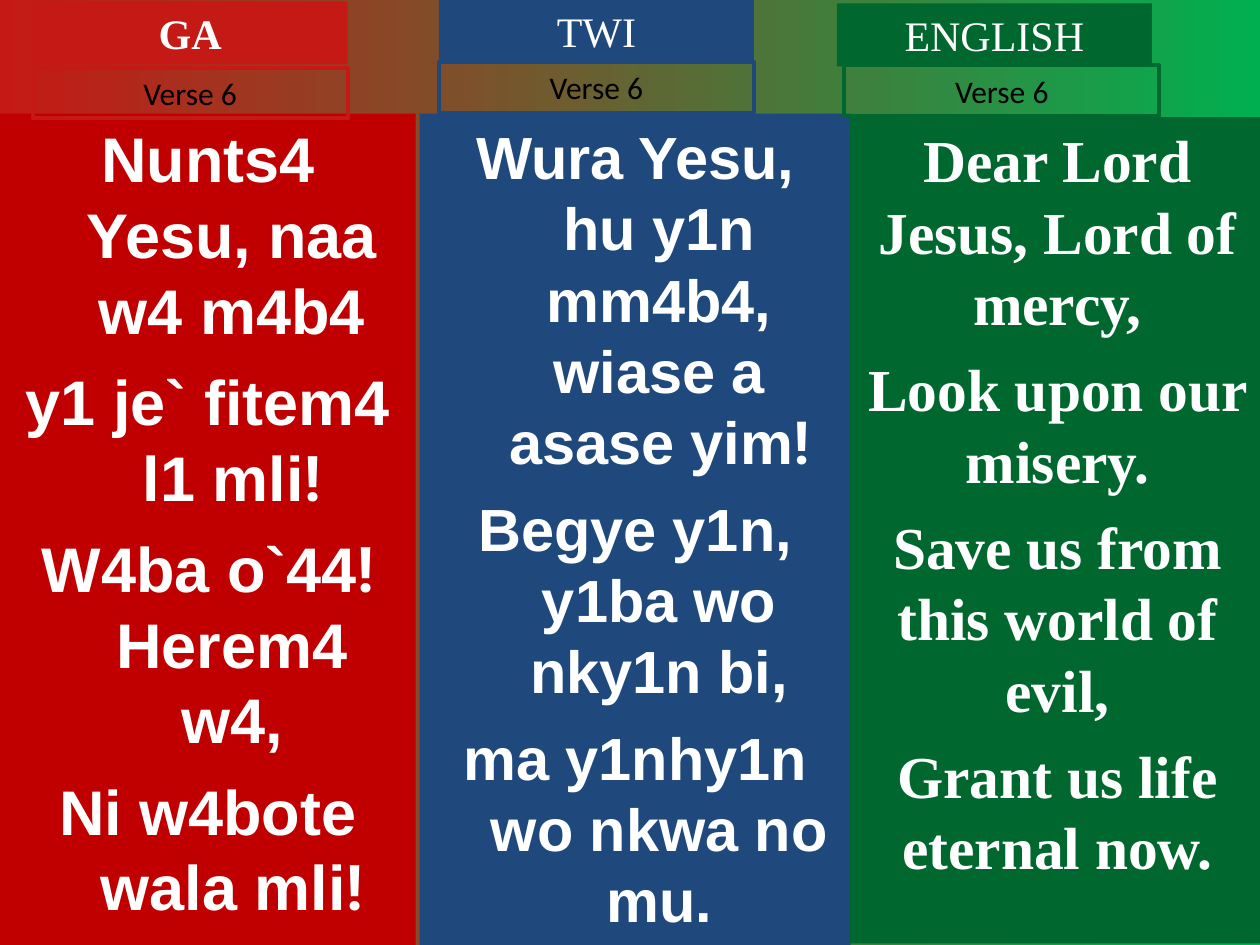
from itertools import groupby

from lxml import etree
from pptx import Presentation
from pptx.dml.color import RGBColor
from pptx.enum.text import MSO_ANCHOR, MSO_AUTO_SIZE, PP_ALIGN
from pptx.oxml.ns import qn
from pptx.util import Cm, Pt

CENTER = PP_ALIGN.CENTER
TOP = MSO_ANCHOR.TOP
NO_FIT = MSO_AUTO_SIZE.NONE
TWO_CONTENT = 3
HANGING = Cm(0.97)
WHITE = "FFFFFF"
HEADING_SIZE = (6.35, 1.27)
VERSE_SIZE = (6.35, 1.02)

COLUMNS = [
    {
        "language": "GA", "heading_color": "C51915", "heading_bold": True,
        "heading_at": (0.66, 0.03), "verse_at": (0.66, 1.37),
        "area": (0, 2.29, 8.38, 16.76), "color": "C00000",
        "font": "Arial", "size": 36, "indent": HANGING,
        "lines": ["Nunts4 Yesu, naa w4 m4b4", "y1 je` fitem4 l1 mli!",
                  "W4ba o`44! Herem4 w4,", "Ni w4bote wala mli!"],
    },
    {
        "language": "TWI", "heading_color": "1F497D", "heading_bold": False,
        "heading_at": (8.85, -0.01), "verse_at": (8.85, 1.25),
        "area": (8.46, 2.29, 8.69, 16.76), "color": "1F497D",
        "font": "Arial", "size": 34, "indent": HANGING,
        "lines": ["Wura Yesu, hu y1n mm4b4, wiase a asase yim!",
                  "Begye y1n, y1ba wo nky1n bi,",
                  "ma y1nhy1n wo nkwa no mu."],
    },
    {
        "language": "ENGLISH", "heading_color": "00682F", "heading_bold": False,
        "heading_at": (16.87, 0.07), "verse_at": (17.02, 1.32),
        "area": (17.14, 2.36, 8.36, 16.66), "color": "00682F",
        "font": "Times New Roman", "size": 34, "indent": 0,
        "lines": ["Dear Lord Jesus, Lord of mercy,", "Look upon our misery.",
                  "Save us from this world of evil,", "Grant us life eternal now."],
    },
]


def rgb(color):
    return RGBColor.from_string(color)


def set_values(target, values):
    for name, value in values.items():
        setattr(target, name, value)


def paint(fill, color):
    fill.solid()
    fill.fore_color.rgb = rgb(color)


def place(box, area):
    names = ("left", "top", "width", "height")
    set_values(box, dict(zip(names, map(Cm, area))))
    set_values(box.text_frame, {"word_wrap": True, "auto_size": NO_FIT,
                                "vertical_anchor": TOP})


def add_box(page, area):
    box = page.shapes.add_textbox(*map(Cm, area))
    place(box, area)
    return box


def add_span(para, text, color, font):
    span = para.add_run()
    span.text = text
    set_values(span.font, font)
    span.font.color.rgb = rgb(color)


def write_label(box, text, color, font):
    para = box.text_frame.paragraphs[0]
    para.alignment = CENTER
    add_span(para, text, color, font)


def write_heading(box, column):
    place(box, column["heading_at"] + HEADING_SIZE)
    paint(box.fill, column["heading_color"])
    write_label(box, column["language"], WHITE,
                {"name": "Times New Roman", "size": Pt(24),
                 "bold": column["heading_bold"]})


def add_verse_label(page, column):
    box = add_box(page, column["verse_at"] + VERSE_SIZE)
    box.line.color.rgb = rgb(column["heading_color"])
    box.line.width = Pt(2.25)
    write_label(box, "Verse 6", "000000", {"name": "Calibri", "size": Pt(18)})


def write_lyrics(box, column):
    place(box, column["area"])
    paint(box.fill, column["color"])
    frame = box.text_frame
    for index, line in enumerate(column["lines"]):
        para = frame.add_paragraph() if index else frame.paragraphs[0]
        properties = para._p.get_or_add_pPr()
        properties.set("marL", str(column["indent"]))
        properties.set("indent", str(-column["indent"]))
        etree.SubElement(properties, qn("a:buNone"))
        set_values(para, {"alignment": CENTER,
                          "space_before": Pt(column["size"] / 4 if index else 0)})
        for is_mark, letters in groupby(line, lambda letter: letter == "!"):
            add_span(para, "".join(letters), WHITE,
                     {"name": "Roboto" if is_mark else column["font"],
                      "size": Pt(column["size"]), "bold": True})


def paint_background(page):
    fill = page.background.fill
    fill.gradient()
    fill.gradient_angle = 0
    for stop, color, position in zip(fill.gradient_stops, ("C51915", "00B050"), (0, 1)):
        stop.color.rgb = rgb(color)
        stop.position = position


def main():
    deck = Presentation()
    set_values(deck, {"slide_width": Cm(25.4), "slide_height": Cm(19.05)})
    page = deck.slides.add_slide(deck.slide_layouts[TWO_CONTENT])
    paint_background(page)
    title, *bodies = page.placeholders
    english = COLUMNS[2]
    lyric_boxes = bodies + [add_box(page, english["area"])]
    heading_boxes = [title] + [
        add_box(page, column["heading_at"] + HEADING_SIZE) for column in COLUMNS[1:]
    ]
    for column, lyrics, heading in zip(COLUMNS, lyric_boxes, heading_boxes):
        write_lyrics(lyrics, column)
        write_heading(heading, column)
        add_verse_label(page, column)
    deck.save("out.pptx")


if __name__ == "__main__":
    main()
